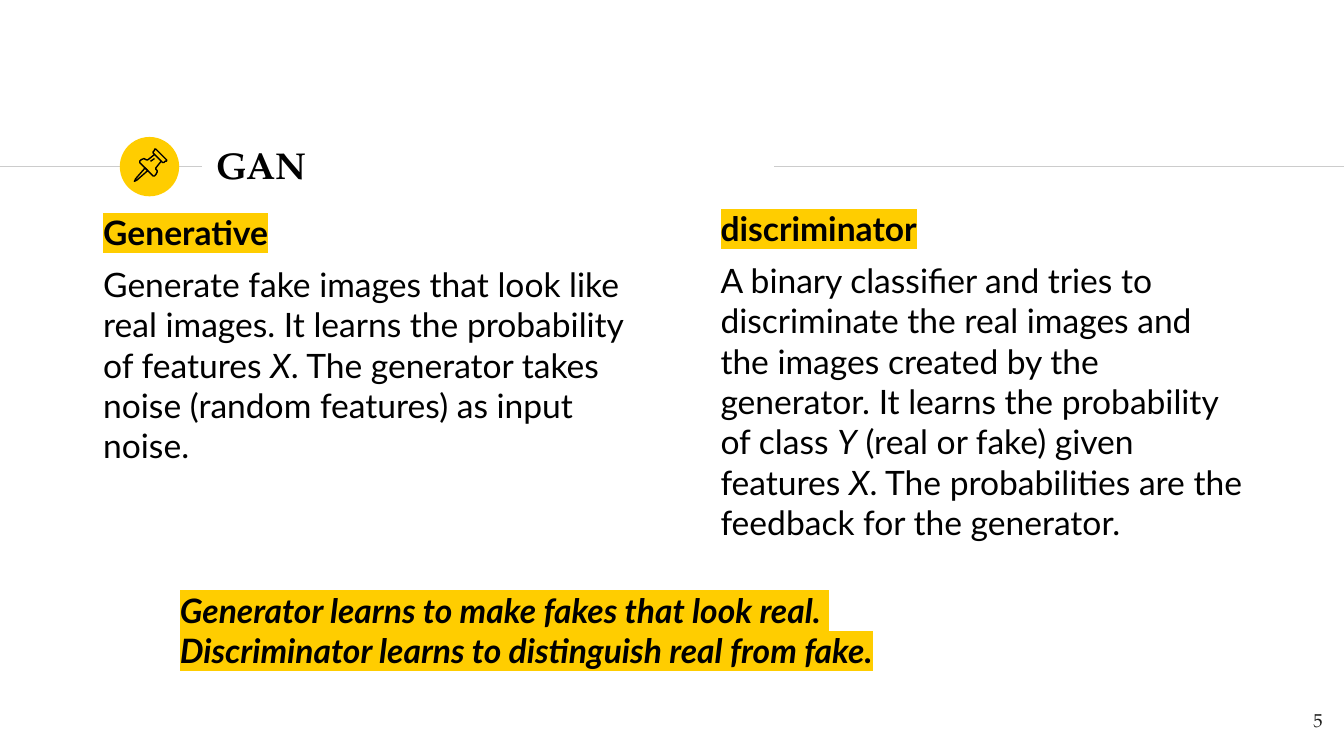
from typing import NamedTuple

from lxml.etree import SubElement
from pptx import Presentation
from pptx.dml.color import RGBColor
from pptx.enum.shapes import MSO_CONNECTOR, MSO_SHAPE
from pptx.enum.text import MSO_ANCHOR, PP_ALIGN
from pptx.oxml.ns import qn
from pptx.slide import Slide
from pptx.util import Pt

BLACK = RGBColor(0x00, 0x00, 0x00)
INK = RGBColor(0x1D, 0x1D, 0x1B)
GOLD = RGBColor(0xFF, 0xCD, 0x00)
GRAY = RGBColor(0xCC, 0xCC, 0xCC)
SANS = "Lato"
SERIF = "TeX Gyre Pagella"
RULE_Y = 89.3


class Span(NamedTuple):
    text: str
    bold: bool = False
    italic: bool = False
    mark: bool = False


class Box(NamedTuple):
    left: float
    top: float
    width: float
    height: float
    lines: list[list[Span]]
    font: str = SANS
    size: float = 18
    color: RGBColor = BLACK
    gap: float = 0
    align: PP_ALIGN = PP_ALIGN.LEFT
    anchor: MSO_ANCHOR = MSO_ANCHOR.TOP


class Path(NamedTuple):
    points: list[tuple[int, int]]
    closed: bool = False


BOXES = [
    Box(108.7, 70.6, 305.3, 34.6, [[Span("GAN", bold=True)]],
        font=SERIF, size=20, anchor=MSO_ANCHOR.MIDDLE),
    Box(48.2, 106.6, 293.8, 153.4, [
        [Span("Generative", bold=True, mark=True)],
        [Span("Generate fake images that look like real images. "
              "It learns the probability of features "),
         Span("X", italic=True),
         Span(". The generator takes noise (random features) as input noise.")],
    ], gap=6),
    Box(378.9, 104.4, 293.8, 245.5, [
        [Span("discriminator", bold=True, mark=True)],
        [Span("A binary classifier and tries to discriminate the real images "
              "and the images created by the generator. "
              "It learns the probability of class "),
         Span("Y", italic=True),
         Span(" (real or fake) given features "),
         Span("X", italic=True),
         Span(". The probabilities are the feedback for the generator.")],
    ], gap=6),
    Box(672.5, 373.7, 43.2, 31, [[Span("5")]],
        font=SERIF, size=10, color=INK, align=PP_ALIGN.RIGHT),
    Box(89.3, 308.9, 555.1, 61.9, [
        [Span("Generator learns to make fakes that look real. ", True, True, True)],
        [Span("Discriminator learns to distinguish real from fake.", True, True, True)],
    ]),
]

PIN = [
    Path([(108, 125), (101, 133), (100, 135), (102, 134), (110, 127)], True),
    Path([(115, 115), (120, 120), (121, 121), (122, 121), (123, 120),
          (124, 120), (124, 119), (116, 111), (115, 111), (115, 112),
          (114, 113), (114, 114)], True),
    Path([(115, 115), (110, 119), (109, 119), (107, 118), (105, 119),
          (104, 120), (104, 121), (114, 131), (115, 131), (116, 130),
          (117, 128), (117, 127), (116, 126), (116, 125), (120, 120)]),
    Path([(112, 120), (115, 118)]),
]


def add_rule(slide: Slide, start: float, end: float) -> None:
    rule = slide.shapes.add_connector(
        MSO_CONNECTOR.STRAIGHT, Pt(start), Pt(RULE_Y), Pt(end), Pt(RULE_Y))
    rule.line.color.rgb = GRAY
    rule.line.width = Pt(0.75)
    SubElement(rule.element.spPr, qn("a:effectLst"))


def add_disc(slide: Slide) -> None:
    disc = slide.shapes.add_shape(
        MSO_SHAPE.OVAL, Pt(64.2), Pt(73.4), Pt(31.8), Pt(31.8))
    disc.shadow.inherit = False
    disc.fill.solid()
    disc.fill.fore_color.rgb = GOLD
    disc.line.fill.background()


def add_path(slide: Slide, path: Path) -> None:
    pen = slide.shapes.build_freeform(*path.points[0], scale=Pt(0.72))
    pen.add_line_segments(path.points[1:], close=path.closed)
    shape = pen.convert_to_shape()
    shape.shadow.inherit = False
    shape.fill.background()
    shape.line.color.rgb = BLACK
    shape.line.width = Pt(0.75)


def add_box(slide: Slide, box: Box) -> None:
    shape = slide.shapes.add_textbox(
        Pt(box.left), Pt(box.top), Pt(box.width), Pt(box.height))
    frame = shape.text_frame
    frame.word_wrap = True
    frame.vertical_anchor = box.anchor
    frame.margin_left = frame.margin_right = Pt(7.2)
    frame.margin_top = frame.margin_bottom = Pt(7.2)
    for index, line in enumerate(box.lines):
        para = frame.add_paragraph() if index else frame.paragraphs[0]
        para.alignment = box.align
        if index:
            para.space_before = Pt(box.gap)
        for span in line:
            run = para.add_run()
            run.text = span.text
            font = run.font
            font.size = Pt(box.size)
            font.bold = span.bold
            font.italic = span.italic
            font.color.rgb = box.color
            if span.mark:
                mark = SubElement(run.font._element, qn("a:highlight"))
                SubElement(mark, qn("a:srgbClr"), val=str(GOLD))
            font.name = box.font


def main() -> None:
    """Build the slide on the two parts of a GAN."""
    deck = Presentation()
    deck.slide_width = Pt(720)
    deck.slide_height = Pt(405)
    slide = deck.slides.add_slide(deck.slide_layouts[6])
    add_rule(slide, 0, 108)
    add_disc(slide)
    add_rule(slide, 414.7, 720)
    for path in PIN:
        add_path(slide, path)
    for box in BOXES:
        add_box(slide, box)
    deck.save("out.pptx")


if __name__ == "__main__":
    main()
